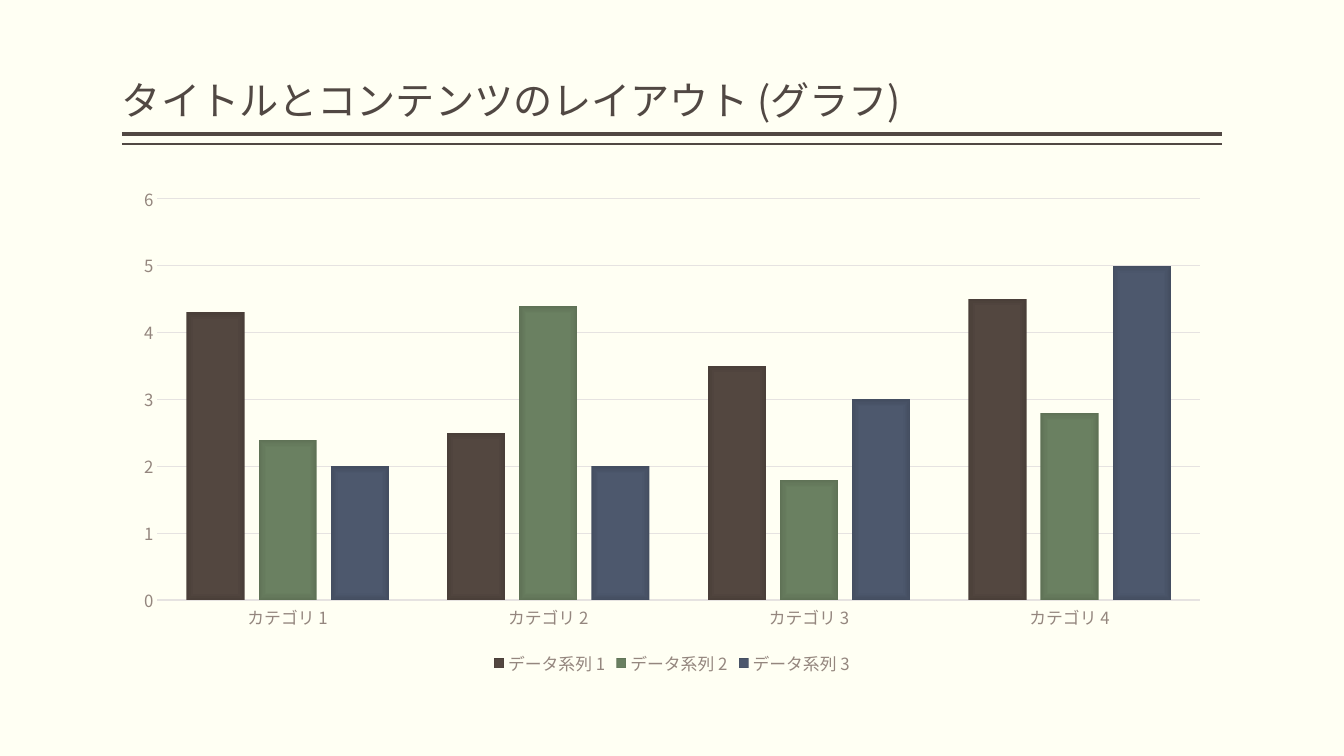
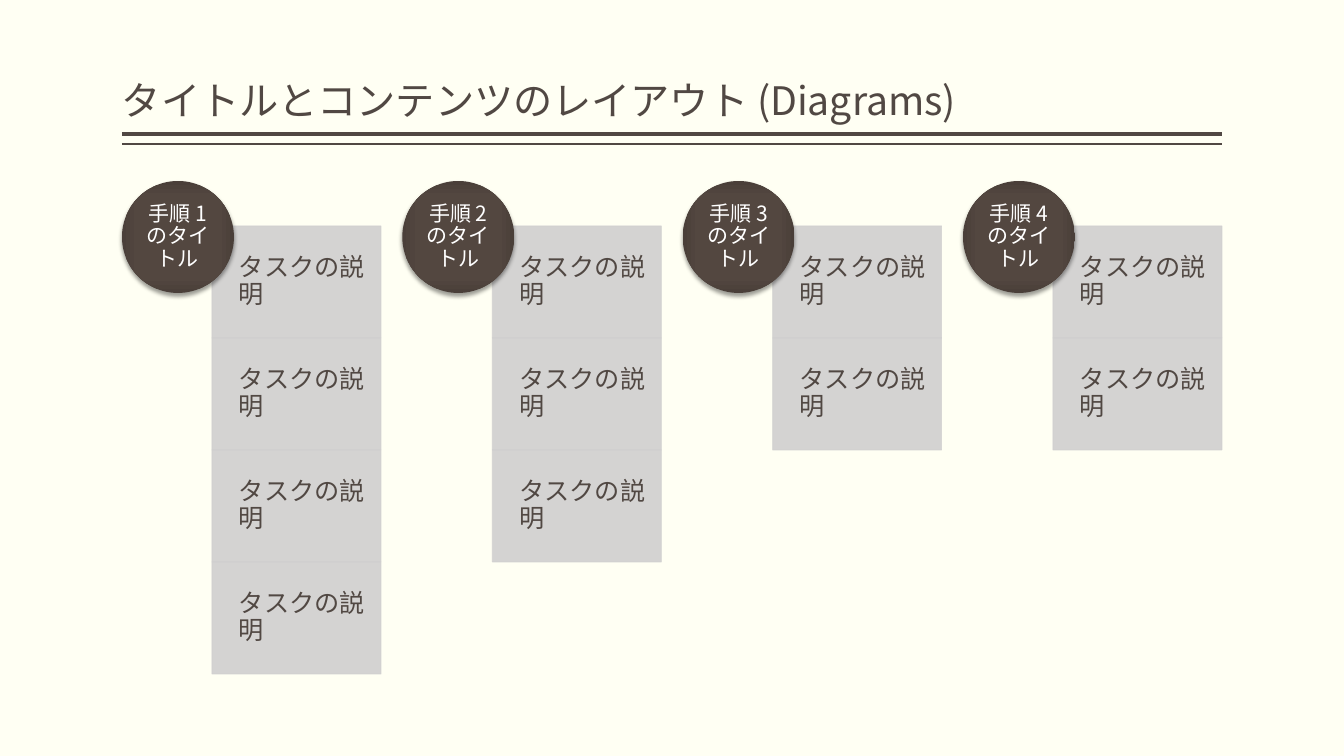
from dataclasses import dataclass

from pptx import Presentation
from pptx.chart.data import CategoryChartData
from pptx.dml.color import RGBColor
from pptx.enum.chart import (XL_CHART_TYPE as CHART, XL_LEGEND_POSITION as LEGEND,
                             XL_TICK_MARK as TICK)
from pptx.enum.shapes import MSO_CONNECTOR as LINE, MSO_SHAPE as SHAPE
from pptx.enum.text import MSO_ANCHOR as ANCHOR, PP_ALIGN as ALIGN
from pptx.oxml import parse_xml
from pptx.oxml.ns import nsdecls, qn
from pptx.oxml.xmlchemy import OxmlElement
from pptx.util import Emu, Pt

SCALE = 914400 / 100.8  # EMU in one px


@dataclass(frozen=True)
class Theme:
    font: str = "Noto Sans CJK JP"
    paper: str = "FFFFF3"
    ink: str = "514843"
    muted: str = "94867E"
    grid: str = "E6E3E1"
    panel: str = "D0CFCF"
    white: str = "FFFFFF"
    black: str = "000000"
    # centre, middle and edge of each accent gradient
    brown: tuple = ("544740", "534740", "4A3F39")
    green: tuple = ("6B8162", "6A8061", "5F7256")
    blue: tuple = ("4E596E", "4D586D", "444E61")
    title_size: int = 28
    task_size: int = 18
    step_size: int = 15
    chart_size: int = 12


T = Theme()
TITLE_BOX = (122, 8, 1100, 121)
CHART_BOX = (122, 176, 1100, 504)
STEPS_BOX = (122, 181, 1100, 494)


def px(*lengths):
    return [Emu(round(n * SCALE)) for n in lengths]


def rgb(color):
    return RGBColor.from_string(color)


# ---- Style helpers ----
def style_font(font, size, color):
    font.size, font.name = Pt(size), T.font
    font.color.rgb = rgb(color)
    ea = OxmlElement("a:ea")
    ea.set("typeface", T.font)
    font._rPr.find(qn("a:latin")).addnext(ea)


def write(tf, text, size, color, anchor, insets, align=ALIGN.LEFT):
    tf.word_wrap = True
    tf.vertical_anchor = anchor
    tf.margin_left, tf.margin_top, tf.margin_right, tf.margin_bottom = px(*insets)
    p = tf.paragraphs[0]
    p.alignment, p.line_spacing = align, 0.9
    r = p.add_run()
    r.text = text
    style_font(r.font, size, color)


def solid(fill, color):
    fill.solid()
    fill.fore_color.rgb = rgb(color)


def glow(fill, spPr, accent):
    """Fill from the centre outwards with the three tones of an accent."""
    fill.solid()
    stops = "".join(f'<a:gs pos="{pos}"><a:srgbClr val="{c}"/></a:gs>'
                    for pos, c in zip((0, 71000, 100000), accent))
    grad = parse_xml(
        f'<a:gradFill {nsdecls("a")} rotWithShape="1"><a:gsLst>{stops}</a:gsLst>'
        '<a:path path="rect"><a:fillToRect l="50000" t="50000" r="50000" b="50000"/>'
        '</a:path></a:gradFill>')
    spPr.replace(spPr.find(qn("a:solidFill")), grad)


def fade(sp, percent):
    for clr in sp._element.spPr.iter(qn("a:srgbClr")):
        alpha = OxmlElement("a:alpha")
        alpha.set("val", str(percent * 1000))
        clr.append(alpha)


def drop_shadow(sp):
    sp._element.spPr.find(qn("a:effectLst")).append(parse_xml(
        f'<a:outerShdw {nsdecls("a")} blurRad="{Pt(3.1)}" dist="{Pt(2)}" dir="5400000" '
        f'algn="ctr" rotWithShape="0"><a:srgbClr val="{T.black}"><a:alpha val="38000"/>'
        '</a:srgbClr></a:outerShdw>'))


# ---- Shared slide frame ----
def add_slide(prs, title):
    s = prs.slides.add_slide(prs.slide_layouts[6])
    x, y, w, h = TITLE_BOX
    box = s.shapes.add_textbox(*px(x, y, w, h))
    write(box.text_frame, title, T.title_size, T.ink, ANCHOR.BOTTOM, (0, 5, 0, 5))
    # Double rule under the title
    for gap, weight in ((5, 3), (15, 1)):
        rule_y = y + h + gap
        rule = s.shapes.add_connector(LINE.STRAIGHT, *px(x, rule_y, x + w, rule_y))
        rule.line.color.rgb, rule.line.width = rgb(T.ink), Pt(weight)
        rule._element.spPr.append(OxmlElement("a:effectLst"))
    return s


# ---- Column chart ----
def add_column_chart(s, box, categories, series):
    data = CategoryChartData()
    data.categories = categories
    for name, values, _ in series:
        data.add_series(name, values)
    chart = s.shapes.add_chart(CHART.COLUMN_CLUSTERED, *px(*box), data).chart
    style_font(chart.font, T.chart_size, T.muted)
    chart.has_title = False
    chart.has_legend = True
    chart.legend.position = LEGEND.BOTTOM
    chart.legend.include_in_layout = False

    # Bars
    plot = chart.plots[0]
    plot.gap_width, plot.overlap, plot.vary_by_categories = 100, -24, False
    for ser, (_, _, accent) in zip(plot.series, series):
        ser.invert_if_negative = False
        glow(ser.format.fill, ser._element.get_or_add_spPr(), accent)

    # Axes
    cat, val = chart.category_axis, chart.value_axis
    for axis in (cat, val):
        axis.major_tick_mark = axis.minor_tick_mark = TICK.NONE
    val.minimum_scale, val.maximum_scale, val.major_unit = 0, 6, 1
    val.format.line.fill.background()
    val.has_major_gridlines = True
    for line, weight in ((cat.format.line, 1), (val.major_gridlines.format.line, 0.75)):
        line.color.rgb, line.width = rgb(T.grid), Pt(weight)


# ---- Steps with their tasks ----
def add_step(s, box, title, tasks):
    x, y, w, _ = box
    disc, indent, drop = 112, 90, 45
    # Stacked task panels
    for row, task in enumerate(tasks):
        sp = s.shapes.add_shape(SHAPE.RECTANGLE, *px(
            x + indent, y + drop + row * disc, w - indent, disc))
        sp.shadow.inherit = False
        solid(sp.fill, T.panel)
        solid(sp.line.fill, T.panel)
        sp.line.width = Pt(0.5)
        fade(sp, 90)
        write(sp.text_frame, task, T.task_size, T.ink, ANCHOR.MIDDLE, (27, 14, 14, 14))
    # Title disc over the corner
    sp = s.shapes.add_shape(SHAPE.OVAL, *px(x, y, disc, disc))
    sp.shadow.inherit = False
    glow(sp.fill, sp._element.spPr, T.brown)
    sp.line.fill.background()
    drop_shadow(sp)
    write(sp.text_frame, title, T.step_size, T.white, ANCHOR.MIDDLE, (0, 0, 0, 0),
          ALIGN.CENTER)


def add_steps(s, box, steps):
    x, y, w, h = box
    step_w = 259
    pitch = (w - step_w) / (len(steps) - 1)
    for i, (title, tasks) in enumerate(steps):
        add_step(s, (x + i * pitch, y, step_w, h), title, tasks)


def main():
    prs = Presentation()
    prs.slide_width, prs.slide_height = px(1344, 756)
    solid(prs.slide_master.background.fill, T.paper)

    s = add_slide(prs, "タイトルとコンテンツのレイアウト (グラフ)")
    add_column_chart(s, CHART_BOX, [f"カテゴリ {n}" for n in range(1, 5)], [
        ("データ系列 1", (4.3, 2.5, 3.5, 4.5), T.brown),
        ("データ系列 2", (2.4, 4.4, 1.8, 2.8), T.green),
        ("データ系列 3", (2, 2, 3, 5), T.blue),
    ])

    s = add_slide(prs, "タイトルとコンテンツのレイアウト (Diagrams)")
    add_steps(s, STEPS_BOX, [(f"手順 {n} のタイトル", ["タスクの説明"] * count)
                             for n, count in enumerate((4, 3, 2, 2), 1)])
    prs.save("out.pptx")


if __name__ == "__main__":
    main()
